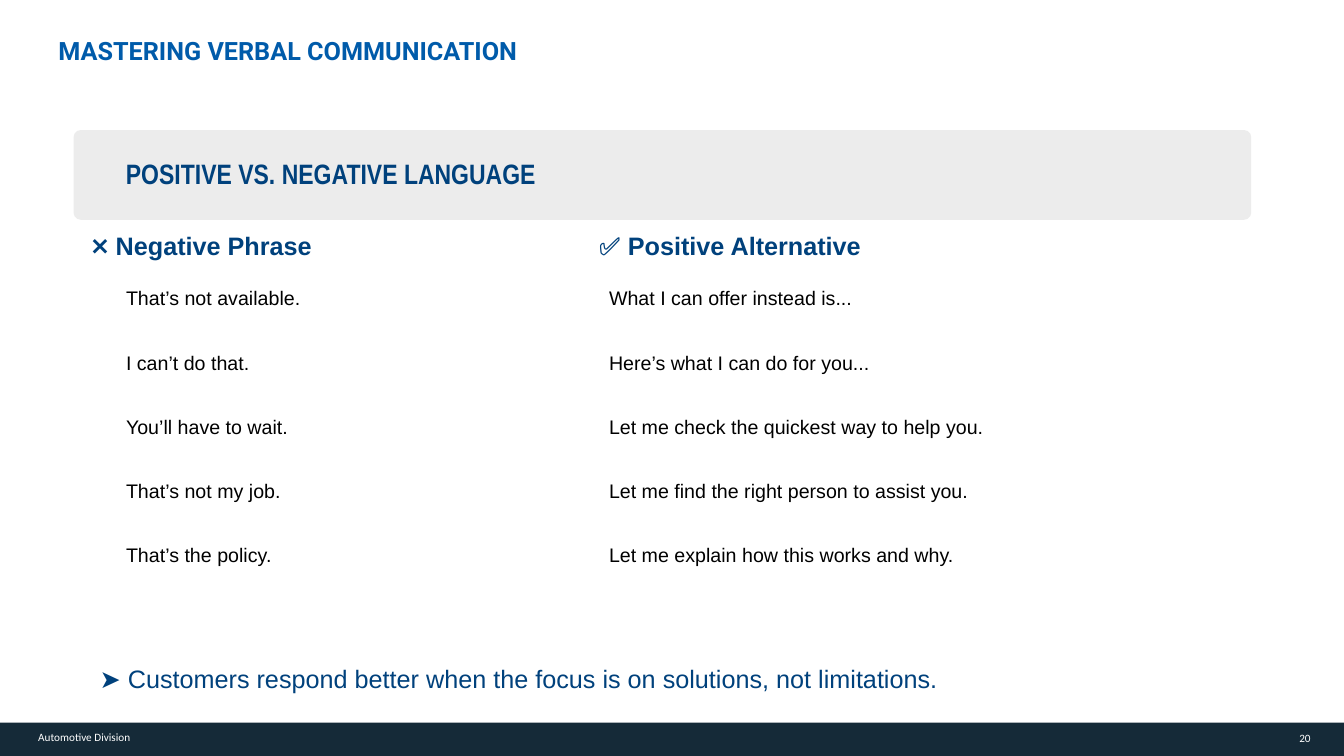
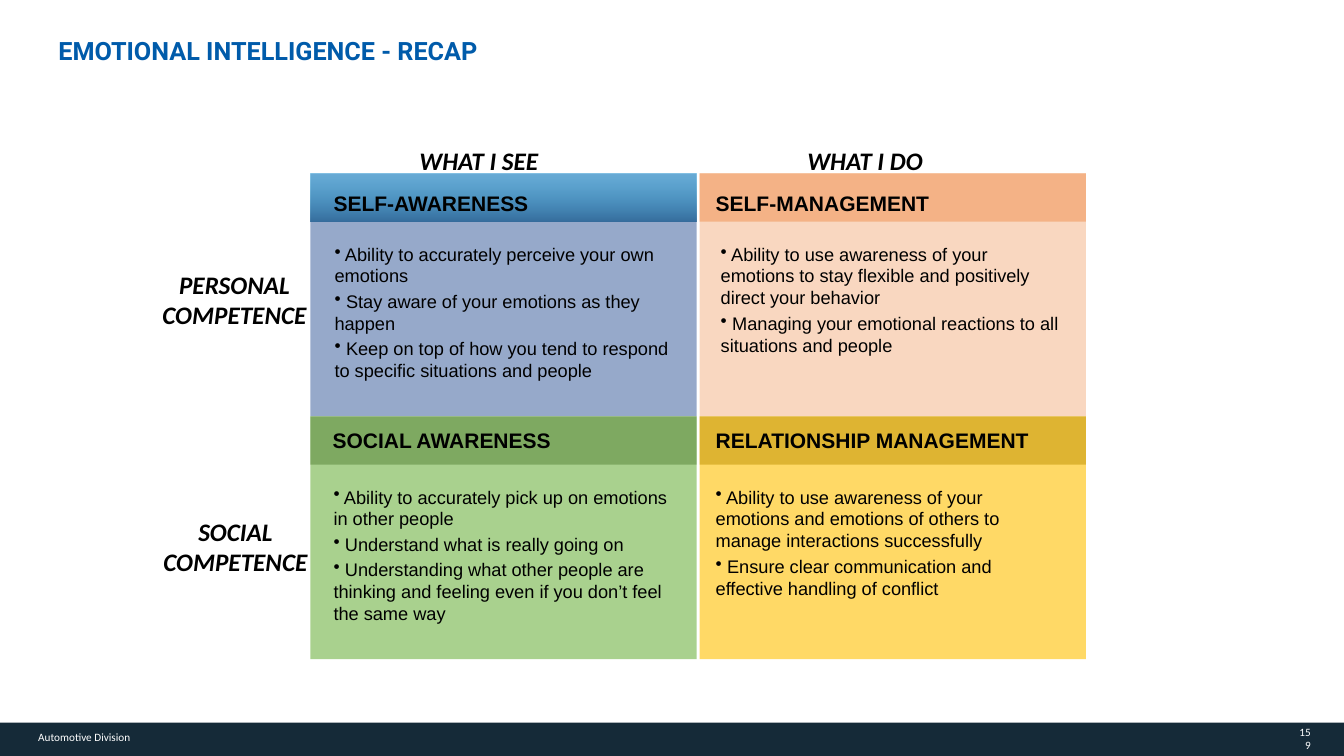
import lxml.etree
import pptx
import pptx.dml.color
import pptx.enum.shapes
import pptx.enum.text
import pptx.oxml.ns
import pptx.util

PX = 9144  # 100 px to the inch
WIDE, HIGH = 1333, 750
BLUE, NAVY, BLACK, WHITE = "005BAA", "00417C", "000000", "FFFFFF"
DARK, GREY = "152A38", "808080"
SHAPE = pptx.enum.shapes.MSO_SHAPE
ALIGN = pptx.enum.text.PP_ALIGN
MIDDLE = pptx.enum.text.MSO_ANCHOR.MIDDLE
qn = pptx.oxml.ns.qn

PHRASES = [
    (81, 115, 450, 547, "❌", "Negative Phrase", [
        "That’s not available.",
        "I can’t do that.",
        "You’ll have to wait.",
        "That’s not my job.",
        "That’s the policy."]),
    (584, 594, 527, 621, "✅", "Positive Alternative", [
        "What I can offer instead is...",
        "Here’s what I can do for you...",
        "Let me check the quickest way to help you.",
        "Let me find the right person to assist you.",
        "Let me explain how this works and why."]),
]

# head, body fill, head fill stops, head offset, text indent, lines
QUADS = [
    ("SELF-AWARENESS", ("2F5597", 50), [("00B0F0", 30), ("004C84", 65)],
     (13, 12), 14, [
        "Ability to accurately perceive your own emotions",
        "Stay aware of your emotions as they happen",
        "Keep on top of how you tend to respond to specific situations "
        "and people"]),
    ("SELF-MANAGEMENT", ("F4B183", 50), [("F4B183", 95)], (6, 12), 11, [
        "Ability to use awareness of your emotions to stay flexible and "
        "positively direct your behavior",
        "Managing your emotional reactions to all situations and people"]),
    ("SOCIAL AWARENESS", ("A9D18E", 100), [("548235", 50)], (12, 6), 13, [
        "Ability to accurately pick up on emotions in other people",
        "Understand what is really going on",
        "Understanding what other people are thinking and feeling even if "
        "you don’t feel the same way"]),
    ("RELATIONSHIP MANAGEMENT", ("FFD966", 100), [("BF9000", 50)], (6, 6), 6, [
        "Ability to use awareness of your emotions and emotions of others "
        "to manage interactions successfully",
        "Ensure clear communication and effective handling of conflict"]),
]


def rgb(code):
    return pptx.dml.color.RGBColor.from_string(code)


def emu(box):
    return [n * PX for n in box]


def style(run, size, color=BLACK, face="Arial", bold=False, slant=False):
    font = run.font
    font.size, font.name = pptx.util.Pt(size), face
    font.bold, font.italic = bold, slant
    font.color.rgb = rgb(color)


def block(slide, box, *stops, kind=SHAPE.RECTANGLE):
    """Place a borderless shape; two (colour, opacity) stops make a gradient."""
    shape = slide.shapes.add_shape(kind, *emu(box))
    shape.shadow.inherit = False
    shape.line.fill.background()
    if len(stops) == 1:
        shape.fill.solid()
        shape.fill.fore_color.rgb = rgb(stops[0][0])
    else:
        shape.fill.gradient()
        shape.fill.gradient_angle = 270
        for mark, (code, _) in zip(shape.fill.gradient_stops, stops):
            mark.color.rgb = rgb(code)
    colors = shape._element.spPr.iter(qn("a:srgbClr"))
    for node, (_, alpha) in zip(list(colors), stops):
        if alpha < 100:
            lxml.etree.SubElement(node, qn("a:alpha"), val=str(alpha * 1000))
    return shape


def write(slide, box, lines, size, *look, align=ALIGN.LEFT, anchor=None,
          inset=None, wrap=True, bullet=False, **more):
    frame = slide.shapes.add_textbox(*emu(box)).text_frame
    frame.word_wrap = wrap
    if anchor is not None:
        frame.vertical_anchor = anchor
    if inset is not None:
        frame.margin_left = frame.margin_right = inset * PX
        frame.margin_top = frame.margin_bottom = inset * PX
    for i, line in enumerate(lines):
        para = frame.add_paragraph() if i else frame.paragraphs[0]
        if bullet:
            props = para._p.get_or_add_pPr()
            lxml.etree.SubElement(props, qn("a:buChar"), char="•")
            line = " " + line
            if i:
                para.space_before = pptx.util.Pt(size * 0.2)
        para.text = line
        para.alignment = align
        style(para.runs[0], size, *look, **more)


def grid(slide, box, count):
    """Add a plain one-column table and return its cells."""
    table = slide.shapes.add_table(count, 1, *emu(box)).table
    table.first_row = table.horz_banding = False
    cells = [row.cells[0] for row in table.rows]
    for cell in cells:
        cell.fill.background()
        cell.vertical_anchor = MIDDLE
    return cells


def base(deck, title, number):
    """Add a slide with its title and footer band."""
    slide = deck.slides.add_slide(deck.slide_layouts[6])
    block(slide, (0, 717, WIDE, 33), (DARK, 100))
    write(slide, (1286, 726, 14, 13), [number], 8, WHITE, "Calibri",
          align=ALIGN.RIGHT, anchor=MIDDLE, inset=0)
    write(slide, (28, 720, 121, 24), ["Automotive Division"], 8, WHITE,
          "Calibri", wrap=False)
    write(slide, (58, 35, 1191, 30), [title], 18, BLUE, "Roboto", True, inset=0)
    return slide


def banner(slide, box, text):
    x, y, w, h = box
    shape = block(slide, box, (GREY, 15), kind=SHAPE.ROUNDED_RECTANGLE)
    shape.adjustments[0] = 0.08
    write(slide, (x + 42, y + 22, 618, 42), [text], 20, NAVY, "Arial Narrow",
          True, anchor=MIDDLE)


def phrases(slide, top, left, inner, wide, span, mark, name, lines):
    """Place a marked heading with its list of phrases below."""
    para = grid(slide, (left, top, wide, 40), 1)[0].text_frame.paragraphs[0]
    para.text = mark + " "
    para.add_run().text = name
    for run, bold in zip(para.runs, (False, True)):
        style(run, 18, NAVY, bold=bold)
    cells = grid(slide, (inner, top + 40, span, 318), len(lines))
    for cell, line in zip(cells, lines):
        cell.text_frame.text = line
        style(cell.text_frame.paragraphs[0].runs[0], 14)


def quad(slide, box, name, fill, stops, shift, indent, lines):
    x, y, w, h = box
    block(slide, box, fill)
    block(slide, (x, y, w, 48), *stops)
    write(slide, (x + shift[0], y + shift[1], 372, 34), [name], 15, bold=True)
    write(slide, (x + indent, y + 64, 360, 149), lines, 13, bullet=True)


def label(slide, box, text):
    write(slide, box, [text], 18, BLACK, "Calibri", True, True,
          align=ALIGN.CENTER)


def language(deck):
    slide = base(deck, "MASTERING VERBAL COMMUNICATION", "20")
    banner(slide, (73, 129, 1168, 89), "POSITIVE VS. NEGATIVE LANGUAGE")
    for column in PHRASES:
        phrases(slide, 225, *column)
    write(slide, (89, 653, 1191, 50), [
        "➤ Customers respond better when the focus is on solutions, "
        "not limitations."], 18, NAVY)


def recap(deck):
    slide = base(deck, "EMOTIONAL INTELLIGENCE - RECAP", "159")
    left, top, wide, high, gap = 308, 172, 383, 241, 3
    for i, data in enumerate(QUADS):
        row, col = divmod(i, 2)
        box = (left + col * (wide + gap), top + row * high, wide, high)
        quad(slide, box, *data)
    for i, text in enumerate(["WHAT I SEE", "WHAT I DO"]):
        label(slide, (325 + i * 383, 139, 300, 42), text)
    for i, text in enumerate(["PERSONAL COMPETENCE", "SOCIAL COMPETENCE"]):
        label(slide, (145 + i, 262 + i * 245, 175, 71), text)


def main():
    deck = pptx.Presentation()
    deck.slide_width, deck.slide_height = emu((WIDE, HIGH))
    language(deck)
    recap(deck)
    deck.save("out.pptx")


if __name__ == "__main__":
    main()
